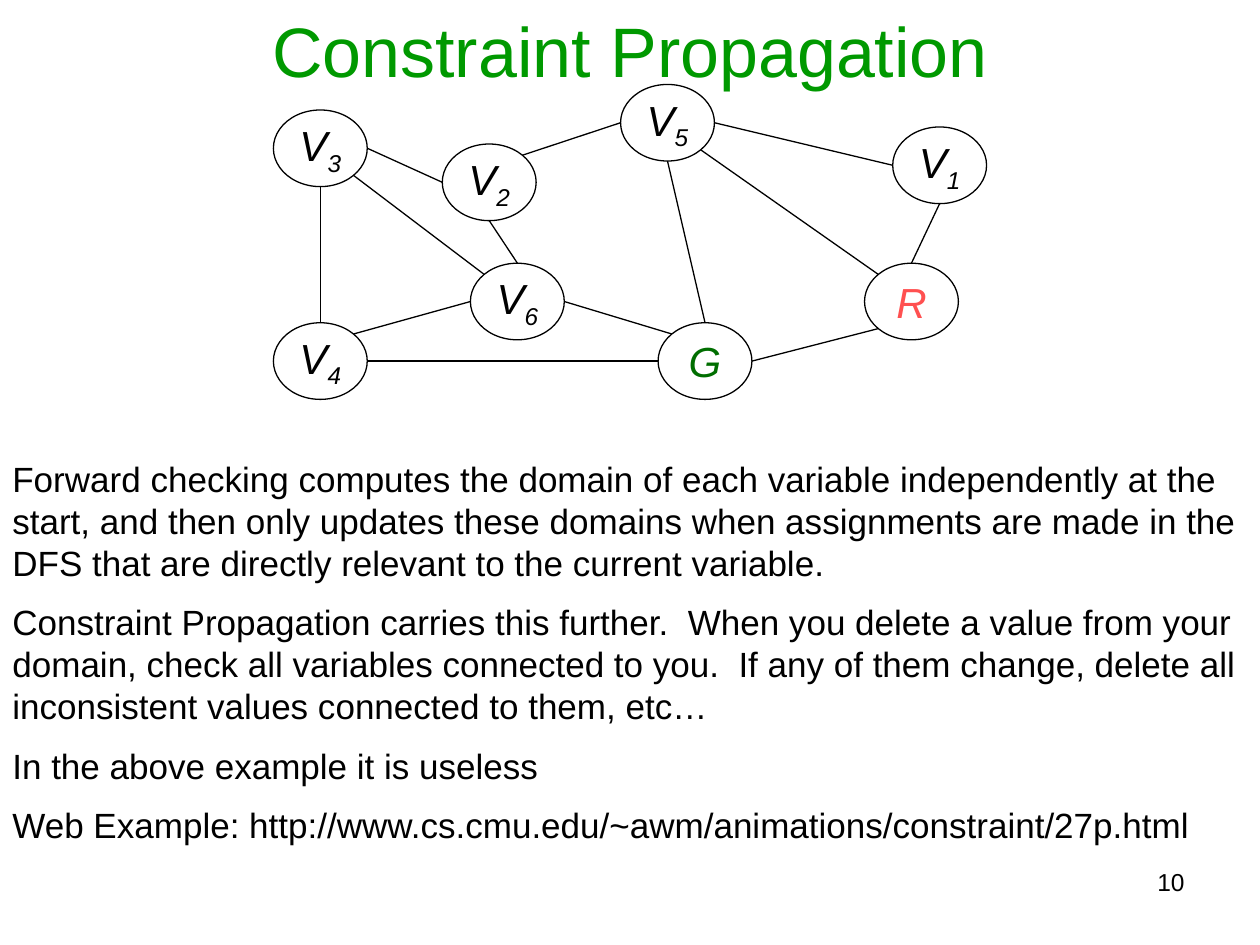
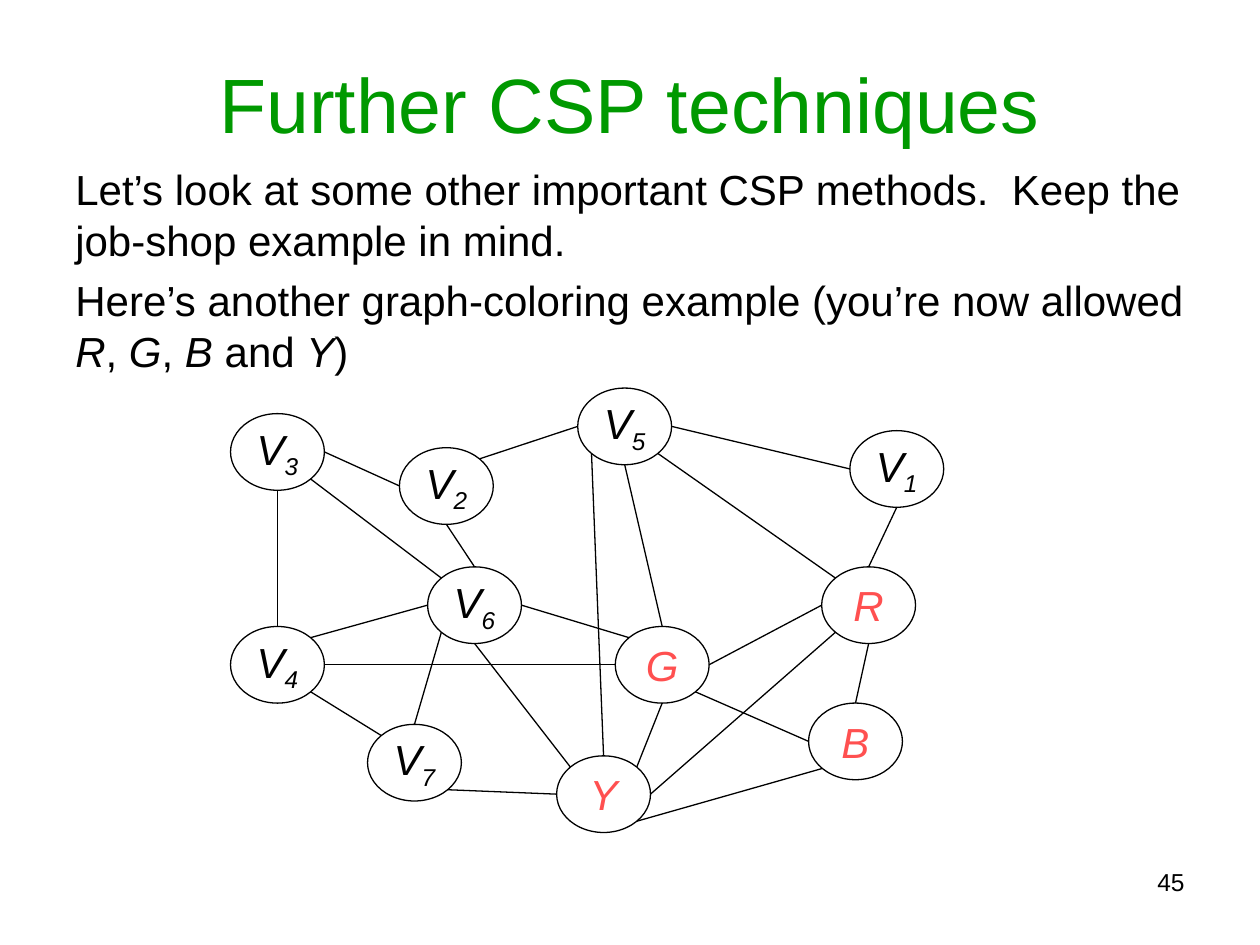
from dataclasses import dataclass
from math import sqrt

from lxml.etree import SubElement
from pptx import Presentation
from pptx.dml.color import RGBColor
from pptx.enum.shapes import MSO_CONNECTOR as Connector, MSO_SHAPE as Shape
from pptx.enum.text import MSO_ANCHOR as Anchor, PP_ALIGN as Align
from pptx.oxml.ns import qn
from pptx.util import Inches, Pt


@dataclass(frozen=True)
class Theme:
    font: str = "Arial"
    ink: str = "000000"
    title: str = "009900"
    red: str = "FF5050"
    green: str = "006E00"
    node_size: int = 24
    number_size: int = 14
    line_width: float = 0.75


@dataclass(frozen=True)
class Box:
    left: float
    top: float
    width: float
    height: float

    def cell(self, column, row, width, height, columns, rows):
        step_x, step_y = self.width / columns, self.height / rows
        return Box(self.left + column * step_x, self.top + row * step_y,
                   width * step_x, height * step_y)

    def inches(self):
        return [Inches(value) for value in (self.left, self.top, self.width, self.height)]


THEME = Theme()
PAGE = Box(0, 0, 10, 7.5)
PAGE_COLUMNS, PAGE_ROWS = 100, 75
GRAPH_COLUMNS, GRAPH_ROWS = 76, 37
NODE_COLUMNS, NODE_ROWS = 10, 9

DIAGONAL = sqrt(0.5)
SITES = {
    "N": (0, -1), "NW": (-DIAGONAL, -DIAGONAL), "W": (-1, 0), "SW": (-DIAGONAL, DIAGONAL),
    "S": (0, 1), "SE": (DIAGONAL, DIAGONAL), "E": (1, 0), "NE": (DIAGONAL, -DIAGONAL),
}
SITE_NAMES = list(SITES)

CORE_NODES = {
    "V3": (0, 3), "V6": (21, 21), "V2": (18, 7), "R": (63, 21),
    "G": (41, 28), "V1": (66, 5), "V5": (37, 0), "V4": (0, 28),
}
CORE_EDGES = [
    "V3 S V4 N", "V3 E V2 W", "V3 SE V6 NW", "V4 E G W", "V4 NE V6 W", "V6 N V2 S",
    "V2 NE V5 W", "V5 E V1 W", "V1 S R N", "V5 SE R NW", "V6 E G NW", "V5 S G N",
]
EXTRA_NODES = {"V7": (14.6, 39.5), "Y": (34.75, 43.2), "B": (61.6, 37)}
EXTRA_EDGES = [
    "V4 SE V7 NW", "V7 SE Y W", "Y SE B SW", "R S B N", "G SE B W", "Y N V5 SW",
    "V6 S Y NW", "Y NE G S", "Y E R SW", "V7 N V6 SW",
]


def area(column, row, width, height):
    return PAGE.cell(column, row, width, height, PAGE_COLUMNS, PAGE_ROWS)


def write(shape, paragraphs, size, color=THEME.ink, align=Align.LEFT, anchor=Anchor.TOP,
          wrap=True, space=0, italic=False):
    frame = shape.text_frame
    frame.word_wrap = wrap
    frame.vertical_anchor = anchor
    for index, content in enumerate(paragraphs):
        paragraph = frame.add_paragraph() if index else frame.paragraphs[0]
        paragraph.alignment = align
        paragraph.space_before = Pt(space if index else 0)
        runs = [(content, "")] if isinstance(content, str) else content
        for text, style in runs:
            run = paragraph.add_run()
            run.text = text
            run.font.name = THEME.font
            run.font.size = Pt(size)
            run.font.color.rgb = RGBColor.from_string(color)
            run.font.italic = italic or style == "italic"
            if style == "subscript":
                run.font._element.set("baseline", "-25000")


def add_text(slide, box, paragraphs, **style):
    write(slide.shapes.add_textbox(*box.inches()), paragraphs, **style)


def add_node(slide, box, name, color):
    node = slide.shapes.add_shape(Shape.FLOWCHART_CONNECTOR, *box.inches())
    node.shadow.inherit = False
    node.fill.background()
    node.line.color.rgb = RGBColor.from_string(THEME.ink)
    node.line.width = Pt(THEME.line_width)
    label = [(name[0], "")] + [(digit, "subscript") for digit in name[1:]]
    write(node, [label], size=THEME.node_size, color=color, align=Align.CENTER,
          anchor=Anchor.MIDDLE, wrap=False, italic=True)
    return node


def site_point(node, site):
    across, down = SITES[site]
    return (round(node.left + node.width * (1 + across) / 2),
            round(node.top + node.height * (1 + down) / 2))


def add_edge(slide, start, start_site, end, end_site):
    edge = slide.shapes.add_connector(
        Connector.STRAIGHT, *site_point(start, start_site), *site_point(end, end_site))
    edge.line.color.rgb = RGBColor.from_string(THEME.ink)
    edge.line.width = Pt(THEME.line_width)
    SubElement(edge._element.spPr, qn("a:effectLst"))
    joints = edge._element.nvCxnSpPr.cNvCxnSpPr
    for tag, node, site in (("a:stCxn", start, start_site), ("a:endCxn", end, end_site)):
        SubElement(joints, qn(tag), id=str(node.shape_id), idx=str(SITE_NAMES.index(site)))


def add_graph(slide, box, positions, edges, colors):
    nodes = {}
    for name, (column, row) in positions.items():
        cell = box.cell(column, row, NODE_COLUMNS, NODE_ROWS, GRAPH_COLUMNS, GRAPH_ROWS)
        nodes[name] = add_node(slide, cell, name, colors.get(name, THEME.ink))
    for edge in edges:
        start, start_site, end, end_site = edge.split()
        add_edge(slide, nodes[start], start_site, nodes[end], end_site)


def add_page(presentation, title, title_box, title_size, number):
    slide = presentation.slides.add_slide(presentation.slide_layouts[6])
    add_text(slide, title_box, [title], size=title_size, color=THEME.title,
             align=Align.CENTER, anchor=Anchor.MIDDLE)
    add_text(slide, area(48.3, 68.3, 46.7, 5.2), [str(number)],
             size=THEME.number_size, align=Align.RIGHT)
    return slide


def add_propagation_slide(presentation):
    slide = add_page(presentation, "Constraint Propagation", area(5, 0.8, 90, 6.2), 40, 10)
    add_text(slide, area(0, 35.8, 100, 39.2), [
        "Forward checking computes the domain of each variable independently at the start, "
        "and then only updates these domains when assignments are made in the DFS that are "
        "directly relevant to the current variable.",
        "Constraint Propagation carries this further.  When you delete a value from your "
        "domain, check all variables connected to you.  If any of them change, delete all "
        "inconsistent values connected to them, etc…",
        "In the above example it is useless",
        "Web Example: http://www.cs.cmu.edu/~awm/animations/constraint/27p.html",
    ], size=20, space=10)
    add_graph(slide, area(21.7, 6.7, 56.6, 25), CORE_NODES, CORE_EDGES + ["G E R SW"],
              {"R": THEME.red, "G": THEME.green})


def add_techniques_slide(presentation):
    slide = add_page(presentation, "Further CSP techniques", area(5, 3, 90, 10.3), 44, 45)
    add_text(slide, area(5, 12.5, 90, 18.3), [
        "Let’s look at some other important CSP methods.  Keep the job-shop example in mind.",
        [("Here’s another graph-coloring example (you’re now allowed ", ""),
         ("R", "italic"), (", ", ""), ("G", "italic"), (", ", ""), ("B", "italic"),
         (" and ", ""), ("Y", "italic"), (")", "")],
    ], size=24, space=6)
    add_graph(slide, area(18.3, 30.8, 56.6, 25), CORE_NODES | EXTRA_NODES,
              CORE_EDGES + ["G E R W"] + EXTRA_EDGES, dict.fromkeys("RGBY", THEME.red))


def main():
    presentation = Presentation()
    presentation.slide_width = Inches(PAGE.width)
    presentation.slide_height = Inches(PAGE.height)
    add_propagation_slide(presentation)
    add_techniques_slide(presentation)
    presentation.save("out.pptx")


if __name__ == "__main__":
    main()
